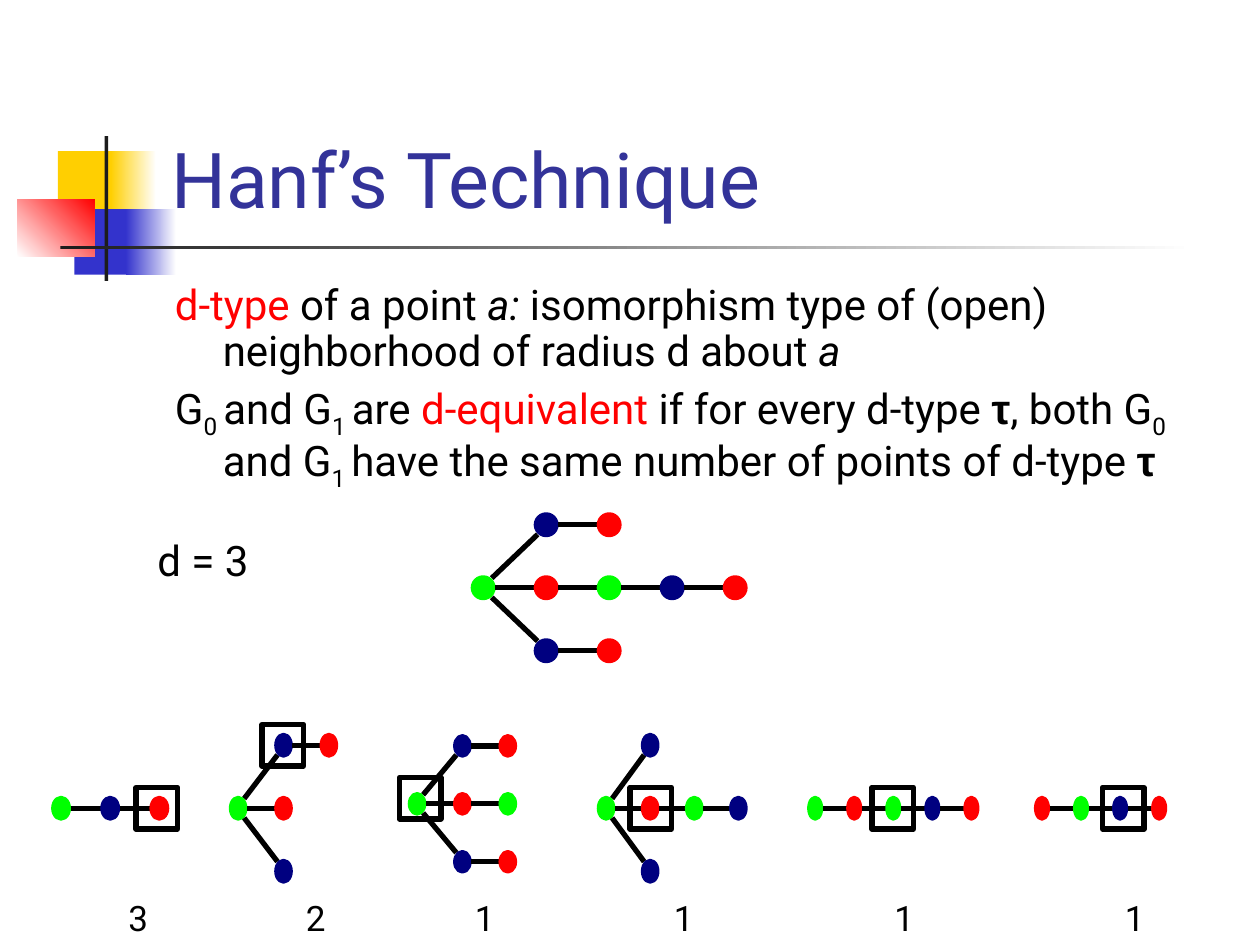
from pptx import Presentation
from pptx.dml.color import RGBColor
from pptx.enum.shapes import MSO_CONNECTOR, MSO_SHAPE
from pptx.enum.text import MSO_ANCHOR
from pptx.oxml.ns import qn
from pptx.util import Inches, Pt
from lxml import etree

RECT, OVAL, LINE = MSO_SHAPE.RECTANGLE, MSO_SHAPE.OVAL, MSO_CONNECTOR.STRAIGHT
BOTTOM = MSO_ANCHOR.BOTTOM
COLORS = {
    "gold": "FFCF01", "blue": "3333CC", "red": "FF0000", "white": "FFFFFF",
    "dark": "1C1C1C", "title": "333399", "black": "000000",
    "G": "00FF00", "B": "000080", "R": "FF0000",
}
RGB = {name: RGBColor.from_string(value) for name, value in COLORS.items()}

prs = Presentation()
prs.slide_width, prs.slide_height = Inches(10), Inches(7.5)
s = prs.slides.add_slide(prs.slide_layouts[6])


def add_text(box, paragraphs, size, color="black", hang=0, anchor=None):
    tf = s.shapes.add_textbox(*map(Inches, box)).text_frame
    tf.word_wrap = True
    if anchor is not None:
        tf.vertical_anchor = anchor
    for i, runs in enumerate(paragraphs):
        p = tf.add_paragraph() if i else tf.paragraphs[0]
        if anchor is None:
            p.line_spacing = 0.9
            p.space_before = Pt(size * 0.2)
        if hang:
            pPr = p._p.get_or_add_pPr()
            pPr.set("marL", str(Inches(hang)))
            pPr.set("indent", str(-Inches(hang)))
        for text, style in runs:
            r = p.add_run()
            r.text = text
            r.font.size = Pt(size)
            r.font.name = "Arial" if style == "tau" else "Roboto"
            r.font.color.rgb = RGB["red" if style == "red" else color]
            if style == "tau":
                r.font.bold = True
            elif style == "italic":
                r.font.italic = True
            elif style == "sub":
                r._r.get_or_add_rPr().set("baseline", "-25000")


def add_edge(x1, y1, x2, y2):
    c = s.shapes.add_connector(LINE, *map(Inches, (x1, y1, x2, y2)))
    c.line.color.rgb = RGB["black"]
    c.line.width = Pt(3)
    etree.SubElement(c._element.spPr, qn("a:effectLst"))


ornaments = [
    ((0.46, 1.2, 0.48, 0.52), "gold", None, 0),
    ((0.88, 1.2, 0.36, 0.52), "gold", "white", 0),
    ((0.59, 1.66, 0.46, 0.52), "blue", None, 0),
    ((1, 1.66, 0.4, 0.52), "blue", "white", 0),
    ((0.14, 1.58, 0.61, 0.46), "white", "red", 45),
    ((0.83, 1.08, 0.03, 1.15), "dark", None, 0),
    ((0.48, 1.95, 9, 0.03), "dark", "white", 0),
]
for box, start, end, angle in ornaments:
    sp = s.shapes.add_shape(RECT, *map(Inches, box))
    sp.shadow.inherit = False
    sp.line.fill.background()
    if end is None:
        sp.fill.solid()
        sp.fill.fore_color.rgb = RGB[start]
    else:
        sp.fill.gradient()
        sp.fill.gradient_angle = angle
        for stop, name, position in zip(sp.fill.gradient_stops, (start, end), (0, 1)):
            stop.color.rgb = RGB[name]
            stop.position = position

add_text((1.26, 0.23, 8.52, 1.6), [[("Hanf’s Technique", "")]], 44, "title", anchor=BOTTOM)
add_text((1.29, 2.21, 8.5, 1.71), [
    [("d-type", "red"), (" of a point ", ""), ("a: ", "italic"),
     ("isomorphism type of (open) neighborhood of radius d about ", ""), ("a", "italic")],
    [("G", ""), ("0 ", "sub"), ("and G", ""), ("1 ", "sub"), ("are ", ""),
     ("d-equivalent", "red"), (" if for every d-type ", ""), ("τ", "tau"),
     (", both G", ""), ("0 ", "sub"), ("and G", ""), ("1 ", "sub"),
     ("have the same number of points of d-type ", ""), ("τ", "tau")],
], 24, hang=0.38)
add_text((1.15, 4.24, 1.02, 0.46), [[("d = 3", "")]], 24)

# Each entry: left, top, column step, row step, node width, node height, upper, middle, lower
graphs = [
    (3.75, 4.58, 0.5, 0.5, 0.17, 0.17, "BR", "GRGBR", "BR"),
    (0.42, 6.33, 0.39, 0.5, 0.13, 0.17, "", "GBR", ""),
    (1.83, 6.33, 0.36, 0.5, 0.12, 0.17, "BR", "GR", "B"),
    (3.25, 6.3, 0.36, 0.46, 0.12, 0.16, "BR", "GRG", "BR"),
    (4.75, 6.33, 0.35, 0.5, 0.12, 0.17, "B", "GRGB", "B"),
    (6.42, 6.33, 0.31, 0.5, 0.1, 0.17, "", "GRGBR", ""),
    (8.22, 6.33, 0.31, 0.5, 0.1, 0.17, "", "RGBR", ""),
]
for left, top, dx, dy, w, h, *rows in graphs:
    root_x, root_y = left + w / 2, top + h / 2
    for row, nodes in zip((-1, 0, 1), rows):
        first = 0 if row == 0 else 1
        y = top + row * dy
        if row and nodes:
            ox, oy = 0.4 * w, row * 0.45 * h
            add_edge(root_x + ox, root_y + oy, root_x + dx - ox, root_y + row * dy - oy)
        for col, node in enumerate(nodes, first):
            x = left + col * dx
            if col > first:
                add_edge(x - dx + w + 0.01, y + h / 2, x - 0.01, y + h / 2)
            sp = s.shapes.add_shape(OVAL, *map(Inches, (x, y, w, h)))
            sp.shadow.inherit = False
            sp.fill.solid()
            sp.fill.fore_color.rgb = RGB[node]
            sp.line.color.rgb = RGB[node]
            sp.line.width = Pt(2)

counts = [
    (1.08, 6.25, 0.92, "3"), (2.08, 5.75, 2.33, "2"), (3.17, 6.17, 3.67, "1"),
    (5, 6.25, 5.25, "1"), (6.92, 6.25, 7, "1"), (8.75, 6.25, 8.83, "1"),
]
for x, y, label_x, count in counts:
    sp = s.shapes.add_shape(RECT, *map(Inches, (x, y, 0.33, 0.33)))
    sp.shadow.inherit = False
    sp.fill.background()
    sp.line.color.rgb = RGB["black"]
    sp.line.width = Pt(3)
    add_text((label_x, 7.1, 0.35, 0.4), [[(count, "")]], 20)

prs.save("out.pptx")
